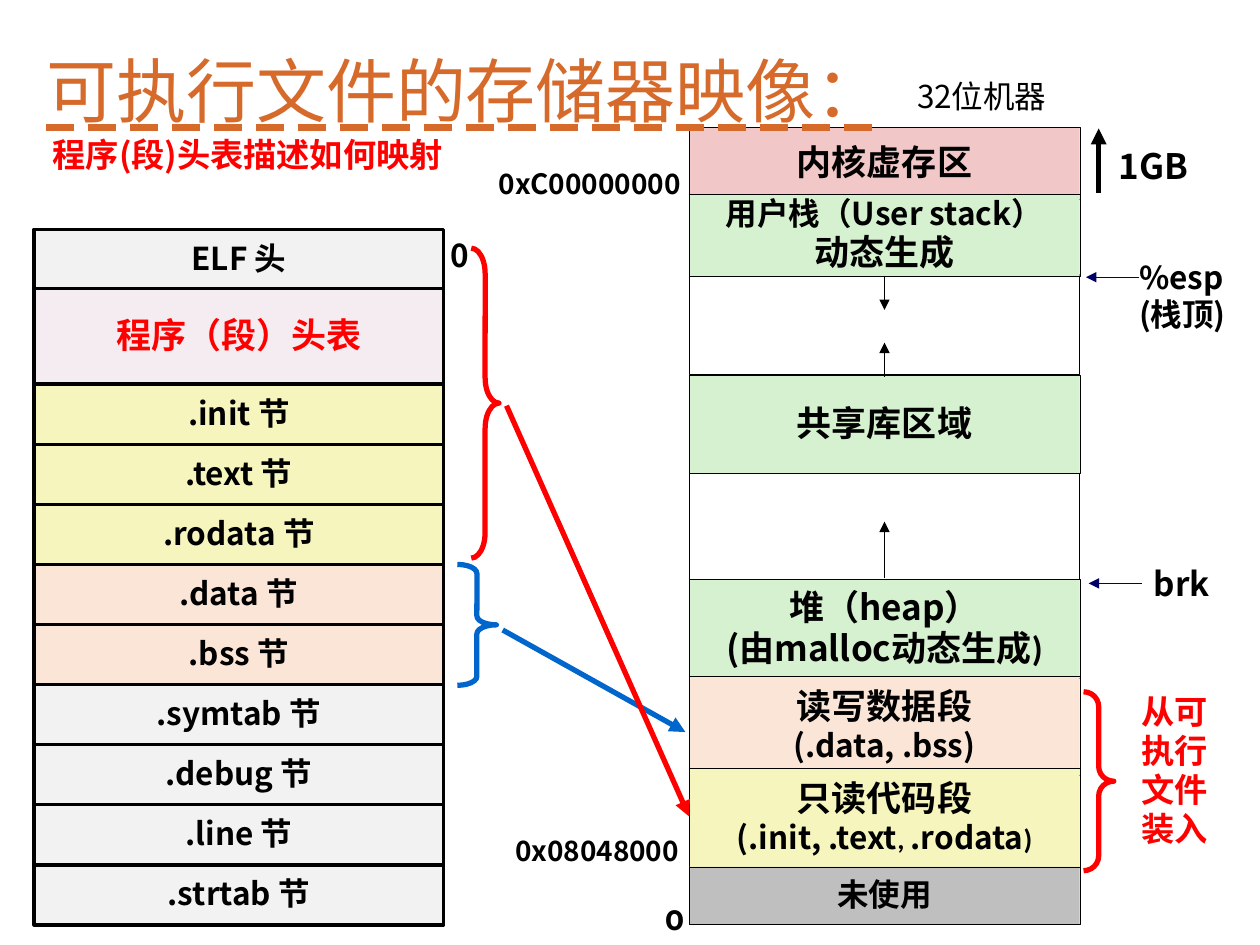
from lxml import etree
from pptx import Presentation
from pptx import util as u
from pptx.dml import color
from pptx.enum import shapes, text
from pptx.oxml import ns

COLORS = {
    "black": "000000", "white": "FFFFFF", "red": "FF0000", "blue": "0066CC",
    "navy": "000066", "orange": "D66A2B", "grey": "F2F2F2", "dark grey": "BFBFBF",
    "plum": "993366", "yellow": "F6F5BD", "peach": "FBE5D6", "pink": "F1C7C7",
    "green": "D5F1CF",
}
RGB = {name: color.RGBColor.from_string(value) for name, value in COLORS.items()}
NOTO = "Noto Sans CJK SC"
CENTER, LEFT = text.PP_ALIGN.CENTER, text.PP_ALIGN.LEFT
TOP, MIDDLE, BOTTOM = text.MSO_ANCHOR.TOP, text.MSO_ANCHOR.MIDDLE, text.MSO_ANCHOR.BOTTOM


def write(shape, paragraphs, ink="black", align=LEFT, anchor=TOP, wrap=True,
          spacing=0.98, side=0.1, **font_values):
    """Fill a shape with paragraphs, each a list of (text, size, font name) runs."""
    frame = shape.text_frame
    frame_values = {
        "word_wrap": wrap, "vertical_anchor": anchor,
        "margin_left": u.Inches(side), "margin_right": u.Inches(side),
        "margin_top": u.Inches(0.05), "margin_bottom": u.Inches(0.05),
    }
    for name, value in frame_values.items():
        setattr(frame, name, value)
    for index, runs in enumerate(paragraphs):
        paragraph = frame.add_paragraph() if index else frame.paragraphs[0]
        paragraph.alignment, paragraph.line_spacing = align, spacing
        for words, size, font_name in runs:
            run = paragraph.add_run()
            run.text = words
            values = {"name": font_name, "size": u.Pt(size), "bold": True, **font_values}
            for name, value in values.items():
                setattr(run.font, name, value)
            run.font.color.rgb = RGB[ink]
            east_asian = etree.SubElement(run.font._element, ns.qn("a:ea"))
            east_asian.set("typeface", NOTO)


def add_outlined(kind, left, top, width, height, fill, line, weight):
    """Add a preset shape without shadow; fill None leaves it open."""
    shape = slide.shapes.add_shape(
        kind, u.Inches(left), u.Inches(top), u.Inches(width), u.Inches(height))
    shape.shadow.inherit = False
    if fill:
        shape.fill.solid()
        shape.fill.fore_color.rgb = RGB[fill]
    else:
        shape.fill.background()
    shape.line.color.rgb = RGB[line]
    shape.line.width = u.Pt(weight)
    return shape


presentation = Presentation()
presentation.slide_width, presentation.slide_height = u.Inches(10), u.Inches(7.5)
slide = presentation.slides.add_slide(presentation.slide_layouts[6])
RECTANGLE, BRACE = shapes.MSO_SHAPE.RECTANGLE, shapes.MSO_SHAPE.RIGHT_BRACE

# Memory image: top, height, fill, paragraphs
segments = [
    (1.01, 0.57, "pink", [[("内核虚存区", 20, NOTO)]]),
    (2.18, 0.79, "white", []),
    (1.54, 0.65, "green", [[("用户栈（User stack）", 18, NOTO)],
                           [("动态生成", 20, "Calibri")]]),
    (2.98, 0.78, "green", [[("共享库区域", 20, NOTO)]]),
    (3.76, 0.84, "white", []),
    (4.6, 0.78, "green", [[("堆（heap）", 20, NOTO)],
                          [("(由malloc动态生成", 20, NOTO), (")", 20, "Calibri")]]),
    (5.37, 0.78, "peach", [[("读写数据段", 20, NOTO)], [("(.data, .bss)", 18, NOTO)]]),
    (6.1, 0.78, "yellow", [[("只读代码段", 20, NOTO)],
                           [("(.init, .text", 18, NOTO), (", ", 16, "Calibri"),
                            (".rodata", 18, NOTO), (")", 16, "Calibri")]]),
    (6.88, 0.46, "dark grey", [[("未使用", 18, NOTO)]]),
]
for top, height, fill, paragraphs in segments:
    segment = add_outlined(RECTANGLE, 5.47, top, 3.1, height, fill, "black",
                           0.25 if paragraphs else 0.75)
    write(segment, paragraphs, align=CENTER, anchor=MIDDLE, wrap=False)

# ELF file: label, height, fill
sections = [("ELF 头", 0.47, "grey"), ("程序（段）头表", 0.76, "plum")]
for fill, names in [("yellow", (".init", ".text", ".rodata")),
                    ("peach", (".data", ".bss")),
                    ("grey", (".symtab", ".debug", ".line", ".strtab"))]:
    sections += [(f"{name} 节", 4.29 / 9, fill) for name in names]
top = 1.82
for label, height, fill in sections:
    section = add_outlined(RECTANGLE, 0.27, top, 3.25, height, fill, "black", 2)
    is_header_table = fill == "plum"
    if is_header_table:
        tint = section.fill._xPr.find(".//" + ns.qn("a:srgbClr"))
        etree.SubElement(tint, ns.qn("a:alpha")).set("val", "9000")
    write(section, [[(label, 20 if is_header_table else 18, NOTO)]],
          ink="red" if is_header_table else "black",
          align=CENTER, anchor=MIDDLE, wrap=False)
    top += height

# Braces: left, top, width, height, curve, colour
for left, top, width, height, curve, line in [
    (8.6, 5.49, 0.24, 1.42, 0.49, "red"),
    (3.63, 4.48, 0.31, 0.96, 0.23, "blue"),
    (3.74, 1.97, 0.22, 2.46, 0.92, "red"),
]:
    brace = add_outlined(BRACE, left, top, width, height, None, line, 3)
    brace.adjustments[0], brace.adjustments[1] = curve, 0.5

# Arrows: start, end, colour, weight
for start, end, line, weight in [
    ((9.04, 2.2), (8.62, 2.2), "navy", 0.25),
    ((9.06, 4.63), (8.64, 4.63), "navy", 0.25),
    ((8.72, 1.53), (8.72, 1.02), "black", 3),
    ((7.02, 4.59), (7.02, 4.14), "black", 0.25),
    ((7.02, 2.99), (7.02, 2.72), "black", 0.25),
    ((7.02, 2.19), (7.02, 2.46), "black", 0.25),
    ((3.99, 5), (5.44, 5.81), "blue", 3),
    ((4.02, 3.22), (5.47, 6.48), "red", 3),
]:
    arrow = slide.shapes.add_connector(
        shapes.MSO_CONNECTOR.STRAIGHT, *[u.Inches(value) for value in start + end])
    arrow.line.color.rgb = RGB[line]
    arrow.line.width = u.Pt(weight)
    etree.SubElement(arrow.line._get_or_add_ln(), ns.qn("a:tailEnd")).set("type", "triangle")
    etree.SubElement(arrow._element.spPr, ns.qn("a:effectLst"))

# Title and labels: left, top, width, height, lines, size, format
labels = [
    (0.27, 0.27, 8.3, 0.83, ["可执行文件的存储器映像："], 40,
     {"ink": "orange", "anchor": BOTTOM, "spacing": 0.9, "bold": False,
      "underline": text.MSO_UNDERLINE.DASH_HEAVY_LINE}),
    (7.18, 0.56, 1.36, 0.4, ["32位机器"], 18, {"bold": False, "spacing": 1.0}),
    (0.32, 1.02, 3.57, 0.42, ["程序(段)头表描述如何映射"], 19, {"ink": "red", "spacing": 1.0}),
    (8.78, 1.1, 0.92, 0.43, ["1GB"], 20, {"spacing": 1.0}),
    (3.48, 1.84, 0.35, 0.4, ["0"], 18, {}),
    (9.04, 2.01, 0.8, 0.68, ["%esp", "(栈顶)"], 18, {"side": 0}),
    (9.06, 4.45, 0.64, 0.4, ["brk"], 19, {"wrap": False, "spacing": 0.94}),
    (3.86, 1.29, 1.71, 0.35, ["0xC00000000"], 16, {"wrap": False, "spacing": 0.94}),
    (3.99, 6.59, 1.56, 0.35, ["0x08048000"], 16, {"wrap": False, "spacing": 0.94}),
    (5.18, 7.13, 0.35, 0.36, ["0"], 16, {"wrap": False, "font": "Montserrat"}),
    (8.96, 5.45, 0.82, 1.34, ["从可执行文件装入"], 19, {"ink": "red", "font": "Calibri"}),
]
for left, top, width, height, lines, size, values in labels:
    label = slide.shapes.add_textbox(
        u.Inches(left), u.Inches(top), u.Inches(width), u.Inches(height))
    font_name = values.pop("font", NOTO)
    write(label, [[(line, size, font_name)] for line in lines], **values)

presentation.save("out.pptx")
